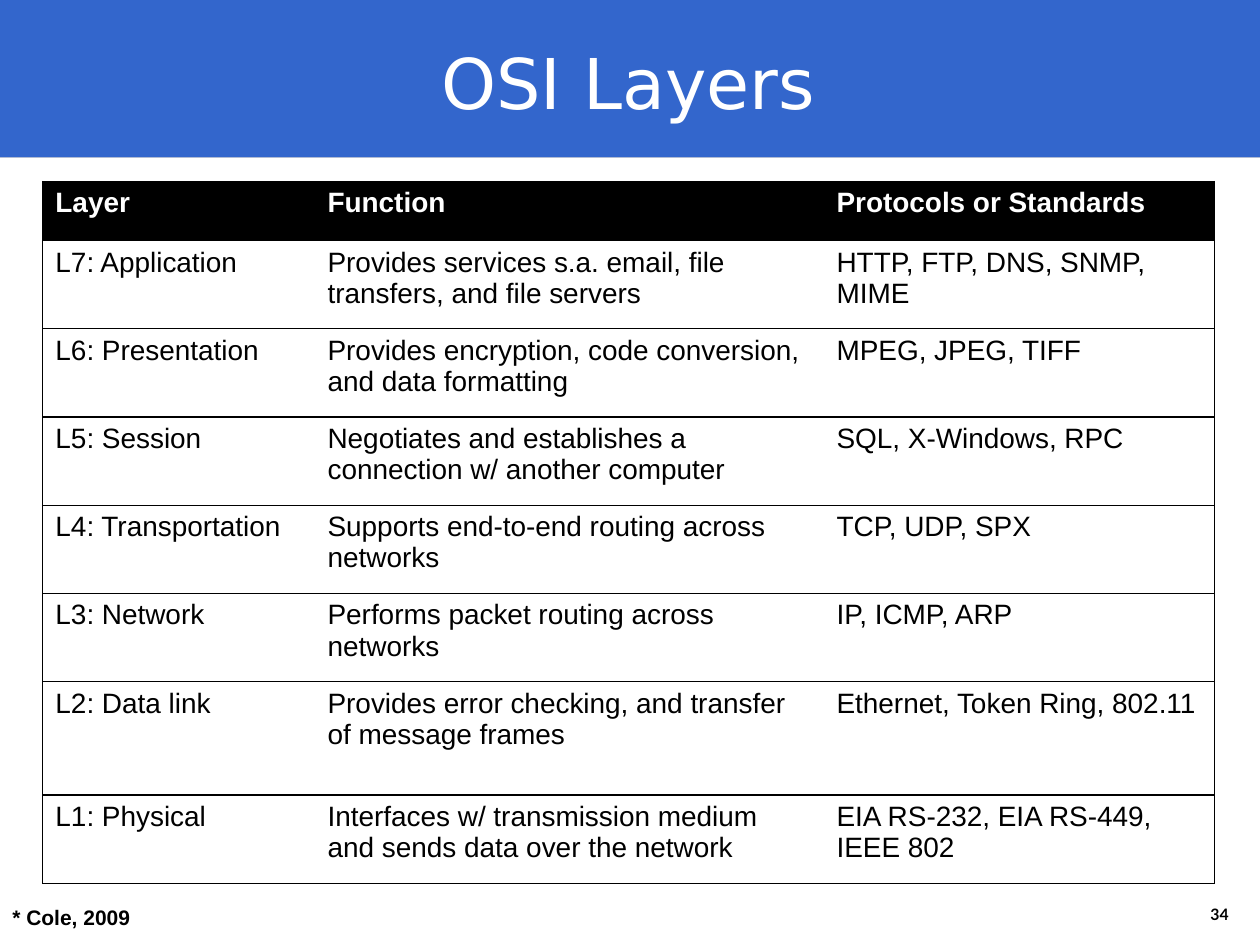
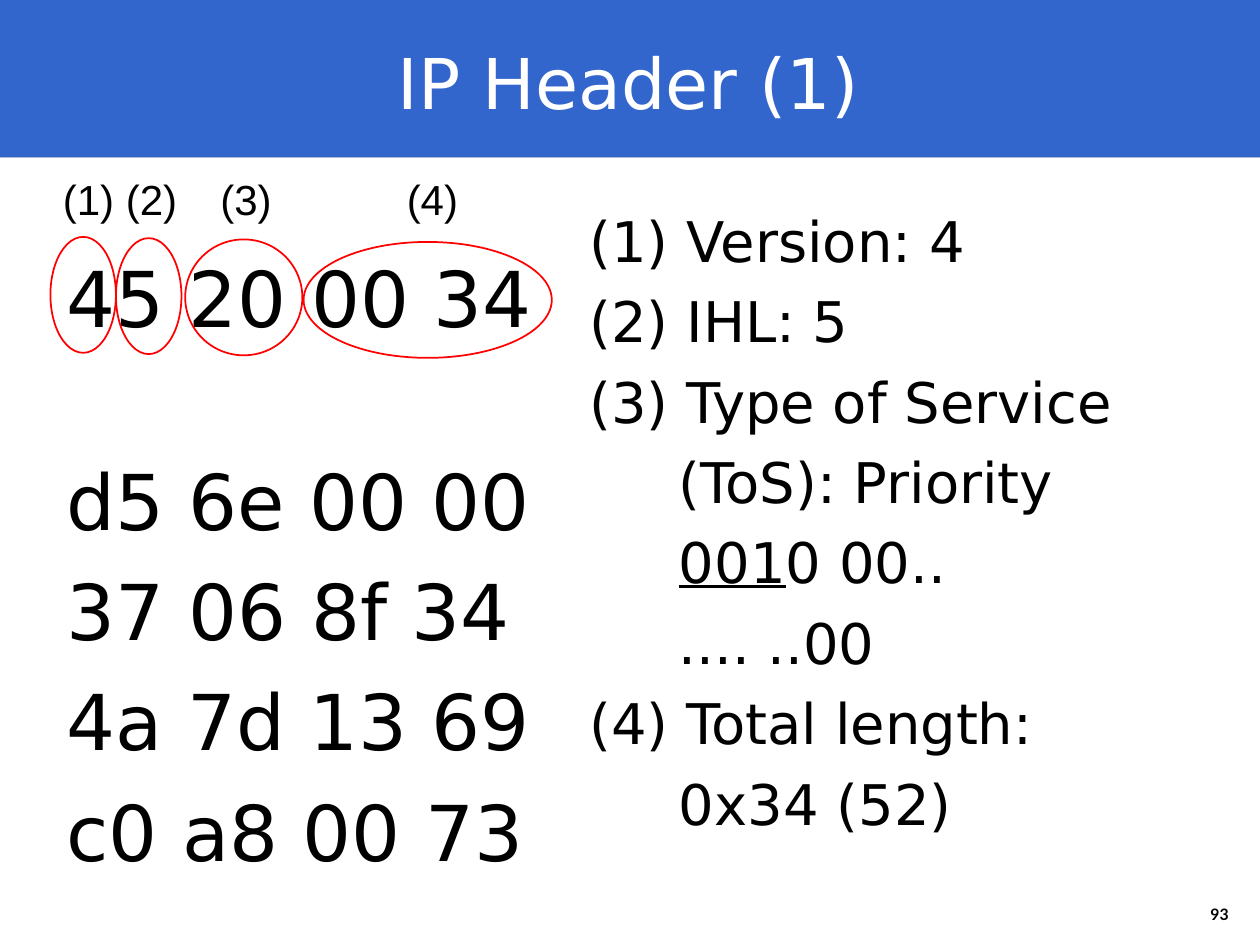
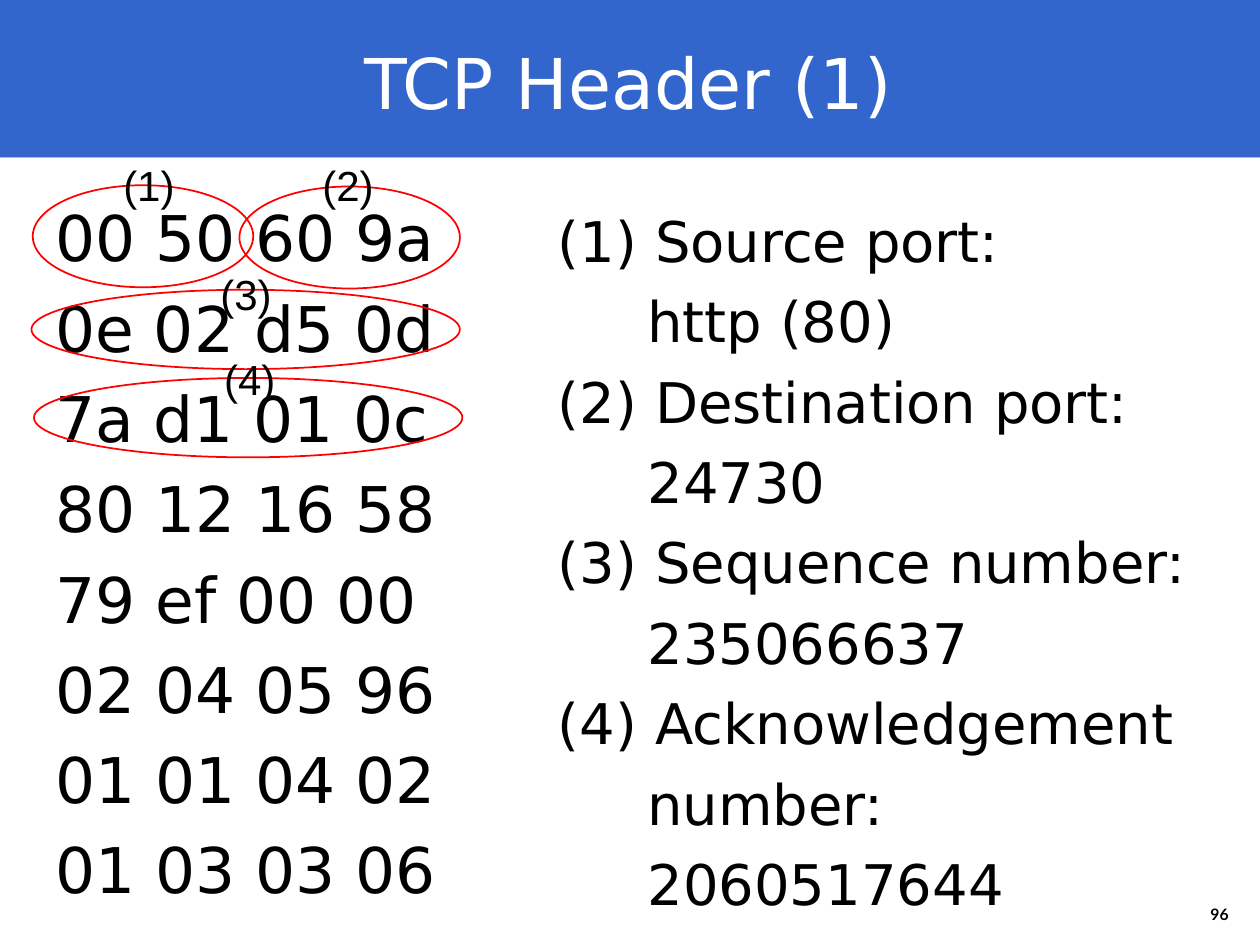
from dataclasses import dataclass

from lxml.etree import SubElement
from pptx import Presentation
from pptx.dml.color import RGBColor
from pptx.enum.shapes import MSO_SHAPE
from pptx.enum.text import MSO_ANCHOR, PP_ALIGN
from pptx.oxml.ns import qn
from pptx.presentation import Presentation as Deck
from pptx.slide import Slide
from pptx.table import _Cell
from pptx.util import Inches, Pt

COLORS = {
    "band": "3366CC",
    "backdrop": "B2B2B2",
    "panel": "FFFFFF",
    "text": "000000",
    "inverse": "FFFFFF",
    "rule": "000000",
    "ring": "FF0000",
}
BODY_FONT = "DejaVu Sans"
LABEL_FONT = "Arial"
NUMBER_FONT = "Lato"
LINE_GAP = 0.233
DETAIL_INDENT = 0.71


@dataclass(frozen=True)
class Box:
    left: float
    top: float
    width: float
    height: float

    def lengths(self) -> tuple:
        return tuple(Inches(v) for v in (self.left, self.top, self.width, self.height))


@dataclass(frozen=True)
class Line:
    text: str
    indent: float = 0
    underlined: str = ""
    before: float | None = None


@dataclass(frozen=True)
class Field:
    label: str
    ring: Box
    label_left: float
    label_top: float


@dataclass(frozen=True)
class HeaderSlide:
    title: str
    number: int
    dump_box: Box
    dump_size: int
    dump: list[Line]
    legend_box: Box
    legend: list[Line]
    fields: list[Field]


def detail(text: str, underlined: str = "") -> Line:
    return Line(text, DETAIL_INDENT, underlined)


TITLE_BOX = Box(0.34, 0.06, 9.29, 1.17)
NUMBER_BOX = Box(8.73, 7.07, 1.12, 0.31)

OSI_COLUMNS = [2.16, 4.04, 3.1]
OSI_HEIGHTS = [0.47, 0.7, 0.7, 0.7, 0.7, 0.7, 0.9, 0.7]
OSI_ROWS = [
    ("Layer", "Function", "Protocols or Standards"),
    ("L7: Application", "Provides services s.a. email, file transfers, and file servers",
     "HTTP, FTP, DNS, SNMP, MIME"),
    ("L6: Presentation", "Provides encryption, code conversion, and data formatting",
     "MPEG, JPEG, TIFF"),
    ("L5: Session", "Negotiates and establishes a connection w/ another computer",
     "SQL, X-Windows, RPC"),
    ("L4: Transportation", "Supports end-to-end routing across networks", "TCP, UDP, SPX"),
    ("L3: Network", "Performs packet routing across networks", "IP, ICMP, ARP"),
    ("L2: Data link", "Provides error checking, and transfer of message frames",
     "Ethernet, Token Ring, 802.11"),
    ("L1: Physical", "Interfaces w/ transmission medium and sends data over the network",
     "EIA RS-232, EIA RS-449, IEEE 802"),
]

HEADER_SLIDES = [
    HeaderSlide(
        "IP Header (1)", 93, Box(0.43, 1.94, 3.99, 4.64), 44,
        [Line("45 20 00 34"), Line("d5 6e 00 00", before=63), Line("37 06 8f 34"),
         Line("4a 7d 13 69"), Line("c0 a8 00 73")],
        Box(4.58, 1.59, 5.17, 5.57),
        [Line("(1) Version: 4"), Line("(2) IHL: 5"), Line("(3) Type of Service"),
         detail("(ToS): Priority"), detail("0 00..", "001"), detail(".... ..00"),
         Line("(4) Total length:"), detail("0x34 (52)")],
        [Field("(1)", Box(0.4, 1.88, 0.52, 0.92), 0.4, 1.33),
         Field("(2)", Box(0.92, 1.89, 0.52, 0.92), 0.9, 1.33),
         Field("(3)", Box(1.47, 1.9, 0.93, 0.92), 1.65, 1.33),
         Field("(4)", Box(2.41, 1.92, 1.97, 0.92), 3.13, 1.33)],
    ),
    HeaderSlide(
        "TCP Header (1)", 96, Box(0.34, 1.53, 3.66, 5.57), 36,
        [Line("00 50 60 9a"), Line("0e 02 d5 0d"), Line("7a d1 01 0c"),
         Line("80 12 16 58"), Line("79 ef 00 00"), Line("02 04 05 96"),
         Line("01 01 04 02"), Line("01 03 03 06")],
        Box(4.33, 1.59, 5.42, 5.57),
        [Line("(1) Source port:"), detail("http (80)"),
         Line("(2) Destination port:"), detail("24730"),
         Line("(3) Sequence number:"), detail("235066637"),
         Line("(4) Acknowledgement"), detail("number:"), detail("2060517644")],
        [Field("(1)", Box(0.26, 1.47, 1.75, 0.81), 0.88, 1.22),
         Field("(2)", Box(1.9, 1.48, 1.75, 0.81), 2.46, 1.22),
         Field("(3)", Box(0.25, 2.3, 3.4, 0.63), 1.65, 2.08),
         Field("(4)", Box(0.27, 3, 3.4, 0.63), 1.68, 2.76)],
    ),
]


def rgb(name: str) -> RGBColor:
    return RGBColor.from_string(COLORS[name])


def write_text(tf, lines: list[Line], *, size: float, font: str = BODY_FONT,
               color: str = "text", bold: bool = False, align=PP_ALIGN.LEFT) -> None:
    for i, line in enumerate(lines):
        p = tf.paragraphs[0] if i == 0 else tf.add_paragraph()
        p.alignment = align
        if i:
            gap = size * LINE_GAP if line.before is None else line.before
            p.space_before = Pt(round(gap, 1))
        if line.indent:
            p._p.get_or_add_pPr().set("marL", str(Inches(line.indent)))
        for text, underline in ((line.underlined, True), (line.text, False)):
            if text:
                r = p.add_run()
                r.text = text
                r.font.size = Pt(size)
                r.font.name = font
                r.font.bold = bold
                r.font.underline = underline
                r.font.color.rgb = rgb(color)


def add_text(s: Slide, box: Box, lines: list[Line], *, anchor=MSO_ANCHOR.TOP,
             wrap: bool = True, **style) -> None:
    tf = s.shapes.add_textbox(*box.lengths()).text_frame
    tf.word_wrap = wrap
    tf.vertical_anchor = anchor
    write_text(tf, lines, **style)


def add_panel(s: Slide, box: Box, color: str) -> None:
    sp = s.shapes.add_shape(MSO_SHAPE.RECTANGLE, *box.lengths())
    sp.shadow.inherit = False
    sp.fill.solid()
    sp.fill.fore_color.rgb = rgb(color)
    sp.line.fill.background()


def add_ring(s: Slide, box: Box) -> None:
    sp = s.shapes.add_shape(MSO_SHAPE.OVAL, *box.lengths())
    sp.shadow.inherit = False
    sp.fill.background()
    sp.line.color.rgb = rgb("ring")
    sp.line.width = Pt(1)


def add_slide(prs: Deck, title: str, number: int) -> Slide:
    s = prs.slides.add_slide(prs.slide_layouts[6])
    s.background.fill.solid()
    s.background.fill.fore_color.rgb = rgb("backdrop")
    add_panel(s, Box(0, 0, 10, 1.25), "band")
    add_panel(s, Box(0, 1.25, 10, 6.25), "panel")
    add_text(s, NUMBER_BOX, [Line(str(number))], size=9, font=NUMBER_FONT, bold=True,
             align=PP_ALIGN.RIGHT, anchor=MSO_ANCHOR.BOTTOM)
    add_text(s, TITLE_BOX, [Line(title)], size=40, color="inverse",
             align=PP_ALIGN.CENTER, anchor=MSO_ANCHOR.MIDDLE)
    return s


def set_borders(cell: _Cell, sides: str) -> None:
    tc_pr = cell._tc.get_or_add_tcPr()
    for side in "LRTB":
        ln = SubElement(tc_pr, qn(f"a:ln{side}"), w=str(Pt(0.75)))
        if side in sides:
            fill = SubElement(ln, qn("a:solidFill"))
            SubElement(fill, qn("a:srgbClr"), val=COLORS["rule"])
        else:
            SubElement(ln, qn("a:noFill"))


def add_osi_table(s: Slide) -> None:
    box = Box(0.34, 1.44, sum(OSI_COLUMNS), sum(OSI_HEIGHTS))
    table = s.shapes.add_table(len(OSI_ROWS), len(OSI_COLUMNS), *box.lengths()).table
    table.first_row = False
    table.horz_banding = False
    for column, width in zip(table.columns, OSI_COLUMNS):
        column.width = Inches(width)
    for row, height in zip(table.rows, OSI_HEIGHTS):
        row.height = Inches(height)
    edges = ("LTB", "TB", "RTB")
    for i, texts in enumerate(OSI_ROWS):
        heading = i == 0
        for j, text in enumerate(texts):
            cell = table.cell(i, j)
            set_borders(cell, edges[j])
            if heading:
                cell.fill.solid()
                cell.fill.fore_color.rgb = rgb("rule")
            else:
                cell.fill.background()
            write_text(cell.text_frame, [Line(text)], size=16, font=LABEL_FONT,
                       color="inverse" if heading else "text", bold=heading)


def add_header_slide(prs: Deck, header: HeaderSlide) -> None:
    s = add_slide(prs, header.title, header.number)
    add_text(s, header.dump_box, header.dump, size=header.dump_size)
    add_text(s, header.legend_box, header.legend, size=32)
    for field in header.fields:
        add_ring(s, field.ring)
    for field in header.fields:
        add_text(s, Box(field.label_left, field.label_top, 0.62, 0.5),
                 [Line(field.label)], size=24, font=LABEL_FONT)


def main() -> None:
    prs = Presentation()
    prs.slide_width = Inches(10)
    prs.slide_height = Inches(7.5)
    s = add_slide(prs, "OSI Layers", 34)
    add_osi_table(s)
    add_text(s, Box(0, 7.13, 1.14, 0.3), [Line("* Cole, 2009")], size=12,
             font=LABEL_FONT, bold=True, wrap=False)
    for header in HEADER_SLIDES:
        add_header_slide(prs, header)
    prs.save("out.pptx")


if __name__ == "__main__":
    main()
